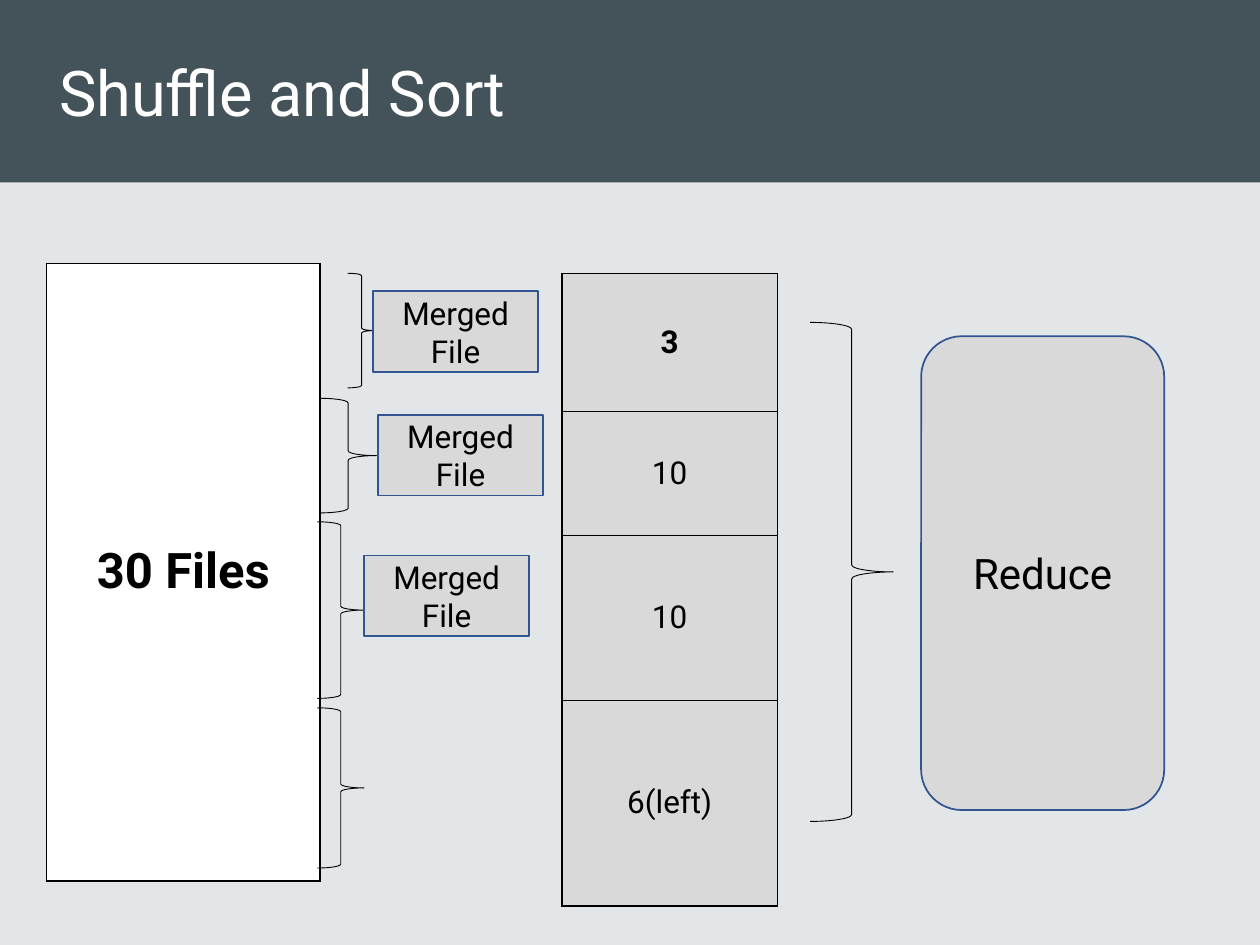
"""Build the Shuffle and Sort slide: files merged in batches, then reduced."""
from lxml import etree
from pptx import Presentation
from pptx.dml.color import RGBColor
from pptx.enum.shapes import MSO_SHAPE
from pptx.enum.text import MSO_ANCHOR, PP_ALIGN
from pptx.oxml.ns import qn
from pptx.util import Cm, Pt

RECT, ROUND, BRACE = MSO_SHAPE.RECTANGLE, MSO_SHAPE.ROUNDED_RECTANGLE, MSO_SHAPE.RIGHT_BRACE
MIDDLE = MSO_ANCHOR.MIDDLE
LEFT, CENTER = PP_ALIGN.LEFT, PP_ALIGN.CENTER

THEME = {
    "font": "Roboto",
    "back": "E2E6E8", "band": "44525A", "white": "FFFFFF",
    "ink": "000000", "grey": "D9D9D9", "blue": "325491",
    "title": 36, "files": 28, "reduce": 24, "body": 18,
    "hairline": 0.5, "line": 1,
}

TITLE = "Shuffle and Sort"
TABLES = [
    {"at": (0.94, 5.31), "width": 5.51, "fill": "white", "size": "files",
     "rows": [("30 Files", 12.45, True)]},
    {"at": (11.33, 5.51), "width": 4.34, "fill": "grey", "size": "body",
     "rows": [("3", 2.79, True), ("10", 2.49, False),
              ("10", 3.33, False), ("6(left)", 4.14, False)]},
]
BRACES = [
    (7.01, 5.51, 0.56, 2.31),
    (6.45, 8.03, 1.14, 2.31),
    (6.4, 10.52, 0.94, 3.56),
    (6.4, 14.27, 0.94, 3.23),
    (16.33, 6.5, 1.68, 10.06),
]
MERGED_SIZE = (3.33, 1.63)
MERGED_AT = [(7.52, 5.87), (7.62, 8.36), (7.34, 11.2)]
REDUCE_BOX = (18.57, 6.78, 4.9, 9.55)
BAND_BOX = (0, 0, 25.4, 3.68)
TITLE_BOX = (0.94, 0, 23.29, 3.68)


def color(name):
    return RGBColor.from_string(THEME[name])


def write(tf, text, size="body", ink="ink", bold=False, align=CENTER):
    p = tf.paragraphs[0]
    p.alignment = align
    r = p.add_run()
    r.text = text
    r.font.name = THEME["font"]
    r.font.size = Pt(THEME[size])
    r.font.bold = bold
    r.font.color.rgb = color(ink)


def add_box(s, kind, box, fill=None, line=None, weight="line"):
    sp = s.shapes.add_shape(kind, *map(Cm, box))
    sp.shadow.inherit = False
    if fill:
        sp.fill.solid()
        sp.fill.fore_color.rgb = color(fill)
    else:
        sp.fill.background()
    if line:
        sp.line.color.rgb = color(line)
        sp.line.width = Pt(THEME[weight])
    else:
        sp.line.fill.background()
    sp.text_frame.word_wrap = True
    sp.text_frame.vertical_anchor = MIDDLE
    return sp


def add_borders(cell):
    tc_pr = cell._tc.get_or_add_tcPr()
    for side in ("a:lnL", "a:lnR", "a:lnT", "a:lnB"):
        ln = etree.SubElement(tc_pr, qn(side), w=str(Pt(THEME["line"])))
        solid = etree.SubElement(ln, qn("a:solidFill"))
        etree.SubElement(solid, qn("a:srgbClr"), val=THEME["ink"])


def add_table(s, at, width, fill, size, rows):
    height = sum(h for _, h, _ in rows)
    frame = s.shapes.add_table(len(rows), 1, *map(Cm, (*at, width, height)))
    table = frame.table
    table.first_row = table.horz_banding = False
    for i, (text, h, bold) in enumerate(rows):
        table.rows[i].height = Cm(h)
        cell = table.cell(i, 0)
        add_borders(cell)
        cell.fill.solid()
        cell.fill.fore_color.rgb = color(fill)
        cell.vertical_anchor = MIDDLE
        write(cell.text_frame, text, size=size, bold=bold)


def add_title(s):
    band = add_box(s, RECT, BAND_BOX, fill="band")
    title = s.shapes.title
    title.left, title.top, title.width, title.height = map(Cm, TITLE_BOX)
    title.text_frame.vertical_anchor = MIDDLE
    write(title.text_frame, TITLE, size="title", ink="white", align=LEFT)
    band.element.addnext(title.element)


def main():
    prs = Presentation()
    prs.slide_width, prs.slide_height = Cm(25.4), Cm(19.05)
    s = prs.slides.add_slide(prs.slide_layouts[5])
    s.background.fill.solid()
    s.background.fill.fore_color.rgb = color("back")

    add_title(s)
    for table in TABLES:
        add_table(s, **table)
    for box in BRACES:
        add_box(s, BRACE, box, line="ink", weight="hairline")
    for at in MERGED_AT:
        sp = add_box(s, RECT, at + MERGED_SIZE, fill="grey", line="blue")
        write(sp.text_frame, "Merged File")
    sp = add_box(s, ROUND, REDUCE_BOX, fill="grey", line="blue")
    write(sp.text_frame, "Reduce", size="reduce")
    prs.save("out.pptx")


if __name__ == "__main__":
    main()
